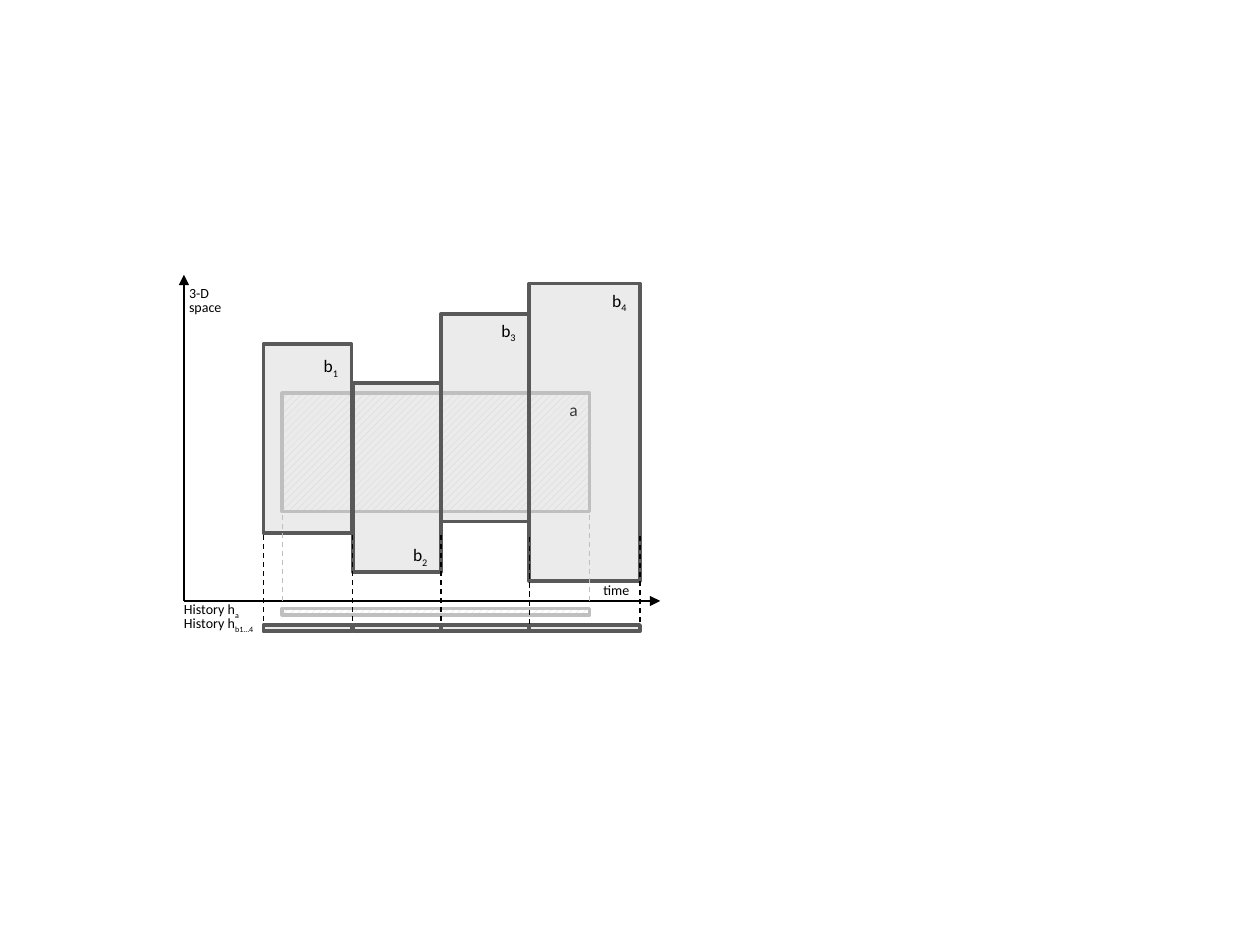
"""Build a slide that plots block histories over space and time."""
from dataclasses import dataclass

from lxml.etree import SubElement
from pptx import Presentation
from pptx.dml.color import RGBColor
from pptx.enum.dml import MSO_LINE, MSO_PATTERN
from pptx.enum.shapes import MSO_CONNECTOR, MSO_SHAPE
from pptx.enum.text import MSO_AUTO_SIZE as Fit, PP_ALIGN
from pptx.oxml.ns import qn
from pptx.util import Inches, Pt

HUES = {"ink": "000000", "edge": "595959", "pale": "BFBFBF",
        "hatch": "D9D9D9", "paper": "FFFFFF"}
AXIS_X, AXIS_Y = 1.46, 4.77
A_LEFT, A_WIDTH = 2.24, 2.44


@dataclass
class Block:
    left: float
    top: float
    width: float
    height: float
    index: str
    tag_top: float
    drop: float


@dataclass
class Label:
    left: float
    top: float
    width: float
    height: float
    text: str
    sub: str = ""
    size: int = 8
    inset: bool = False
    wrap: bool = False


BLOCKS = [
    Block(2.09, 2.73, 0.7, 1.5, "1", 2.77, 4.22),
    Block(2.8, 3.04, 0.7, 1.5, "2", 4.27, 4.22),
    Block(3.5, 2.49, 0.7, 1.65, "3", 2.49, 4.22),
    Block(4.2, 2.25, 0.88, 2.36, "4", 2.25, 4.24),
]
LABELS = [
    Label(4.69, 4.57, 0.41, 0.24, "time", inset=True),
    Label(1.5, 2.28, 0.31, 0.22, "3-D \vspace", wrap=True),
    Label(AXIS_X, AXIS_Y, 0.45, 0.13, "History h", "a"),
    Label(AXIS_X, 4.88, 0.58, 0.13, "History h", "b1…4"),
]

deck = Presentation()
deck.slide_width, deck.slide_height = Inches(10), Inches(7.5)
slide = deck.slides.add_slide(deck.slide_layouts[6])


def hue(name: str) -> RGBColor:
    return RGBColor.from_string(HUES[name])


def add_box(left: float, top: float, width: float, height: float, hatch: bool = False) -> None:
    box = slide.shapes.add_shape(MSO_SHAPE.RECTANGLE, Inches(left), Inches(top),
                                 Inches(width), Inches(height))
    box.shadow.inherit = False
    box.line.width = Pt(2)
    box.line.color.rgb = hue("pale" if hatch else "edge")
    if hatch:
        box.fill.patterned()
        box.fill.pattern = MSO_PATTERN.WIDE_UPWARD_DIAGONAL
        box.fill.fore_color.rgb = hue("hatch")
        box.fill.back_color.rgb = hue("paper")
    else:
        box.fill.solid()
        box.fill.fore_color.rgb = hue("pale")
        tint = box.element.spPr.find(qn("a:solidFill")).find(qn("a:srgbClr"))
        SubElement(tint, qn("a:alpha")).set("val", "30000")


def add_line(x1: float, y1: float, x2: float, y2: float, color: str = "ink",
             dash: bool = False) -> None:
    line = slide.shapes.add_connector(MSO_CONNECTOR.STRAIGHT, Inches(x1), Inches(y1),
                                      Inches(x2), Inches(y2))
    line.line.width = Pt(0.75)
    line.line.color.rgb = hue(color)
    props = line.element.spPr
    if dash:
        line.line.dash_style = MSO_LINE.DASH
    else:
        SubElement(props.find(qn("a:ln")), qn("a:headEnd")).set("type", "triangle")
    SubElement(props, qn("a:effectLst"))


def add_label(label: Label) -> None:
    box = slide.shapes.add_textbox(Inches(label.left), Inches(label.top),
                                   Inches(label.width), Inches(label.height))
    frame = box.text_frame
    frame.word_wrap = label.wrap
    frame.auto_size = Fit.SHAPE_TO_FIT_TEXT
    if not label.inset:
        frame.margin_left = frame.margin_right = 0
        frame.margin_top = frame.margin_bottom = 0
    para = frame.paragraphs[0]
    para.text = label.text
    para.alignment = PP_ALIGN.LEFT
    if label.wrap:
        para.line_spacing = Pt(8)
    if label.sub:
        run = para.add_run()
        run.text = label.sub
        run.font.bold = False
        run.font._element.set("baseline", "-25000")
    para.font.name = "Calibri"
    para.font.size = Pt(label.size)
    para.font.color.rgb = hue("ink")


add_box(A_LEFT, 3.12, A_WIDTH, 0.94, hatch=True)
add_label(Label(4.42, 3.12, 0.27, 0.27, "a", size=10, inset=True))
add_line(AXIS_X, 2.18, AXIS_X, AXIS_Y)
add_line(5.24, AXIS_Y, AXIS_X, AXIS_Y)
for block in BLOCKS:
    add_box(block.left, block.top, block.width, block.height)
for x in (A_LEFT, A_LEFT + A_WIDTH):
    add_line(x, AXIS_Y, x, 4.06, "pale", dash=True)
add_box(A_LEFT, 4.83, A_WIDTH, 0.05, hatch=True)
for block in BLOCKS:
    add_box(block.left, 4.96, block.width, 0.05)
for block in BLOCKS:
    tag_left = block.left + block.width - 0.32
    add_label(Label(tag_left, block.tag_top, 0.32, 0.27, "b", block.index, 10, inset=True))
    add_line(block.left, block.drop + 0.71, block.left, block.drop, dash=True)
add_line(5.08, 4.94, 5.08, 4.23, dash=True)
for label in LABELS:
    add_label(label)

deck.save("out.pptx")
